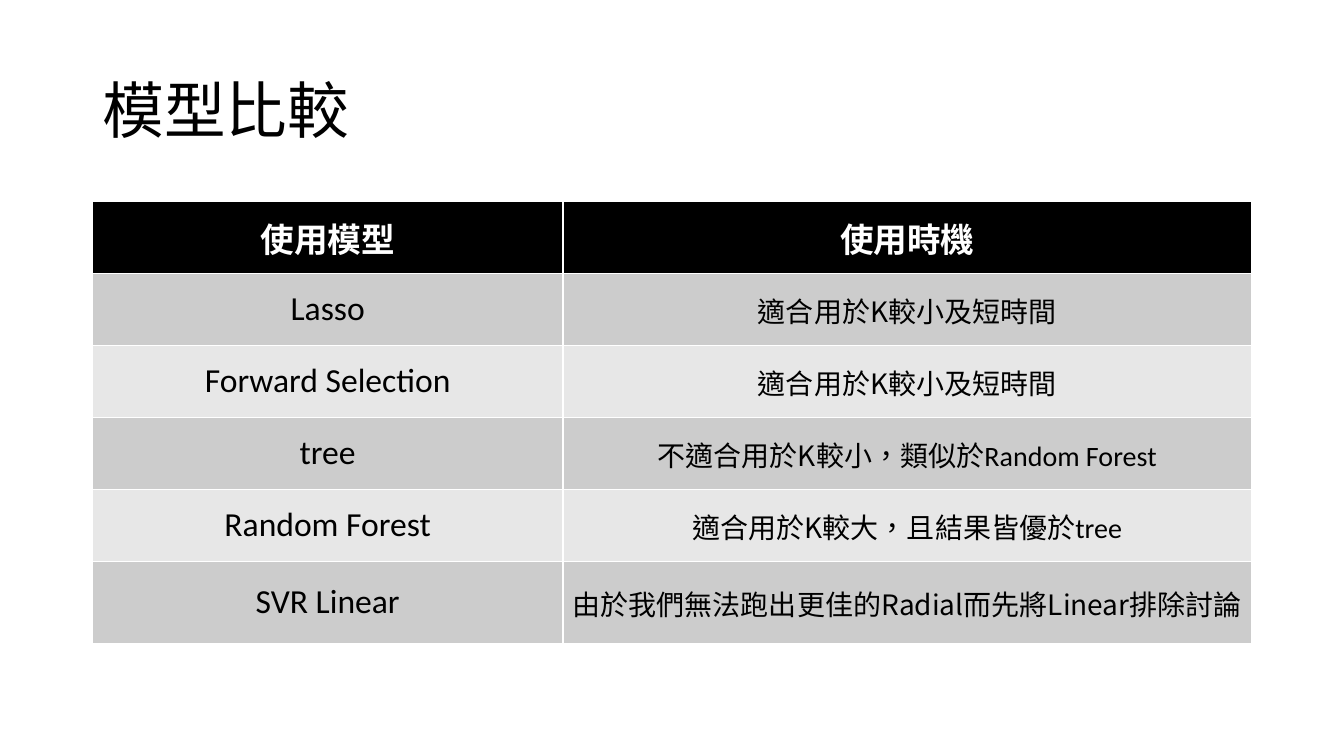
from pptx import Presentation
from pptx.dml.color import RGBColor
from pptx.enum.lang import MSO_LANGUAGE_ID
from pptx.enum.text import MSO_ANCHOR, PP_ALIGN
from pptx.oxml.ns import qn
from pptx.util import Pt
from lxml import etree

CENTER = PP_ALIGN.CENTER
LEFT = PP_ALIGN.LEFT
MIDDLE = MSO_ANCHOR.MIDDLE
CHINESE = MSO_LANGUAGE_ID.TRADITIONAL_CHINESE
BLACK = RGBColor(0x00, 0x00, 0x00)
WHITE = RGBColor(0xFF, 0xFF, 0xFF)
DARK_BAND = RGBColor(0xCC, 0xCC, 0xCC)
LIGHT_BAND = RGBColor(0xE7, 0xE7, 0xE7)
HAN_FONT = "Noto Sans CJK SC"
LATIN_FONT = "Calibri"

HEADINGS = ("使用模型", "使用時機")
MODELS = [
    ("Lasso", ["適合用於K較小及短時間"]),
    ("Forward Selection", ["適合用於K較小及短時間"]),
    ("tree", ["不適合用於K較小，類似於", "Random Forest"]),
    ("Random Forest", ["適合用於K較大，且結果皆優於", "tree"]),
    ("SVR Linear", ["由於我們無法跑出更佳的Radial而先將Linear排除討論"]),
]


class SlideBuilder:
    def __init__(self, page):
        self.page = page

    def add_span(self, para, text, size, color, bold=False):
        span = para.add_run()
        span.text = text
        font = span.font
        font.size = Pt(size)
        font.bold = bold
        font.color.rgb = color
        font.name = LATIN_FONT if text.isascii() else HAN_FONT
        font.language_id = CHINESE
        latin = span._r.rPr.find(qn("a:latin"))
        east_asian = etree.Element(qn("a:ea"), typeface=HAN_FONT)
        latin.addnext(east_asian)

    def add_title(self, text, left, top, width, height):
        title = self.page.shapes.title
        title.left, title.top = Pt(left), Pt(top)
        title.width, title.height = Pt(width), Pt(height)
        title.text_frame.vertical_anchor = MIDDLE
        para = title.text_frame.paragraphs[0]
        para.alignment = LEFT
        para.line_spacing = 0.9
        self.add_span(para, text, 44, BLACK)

    def add_table(self, left, top, widths, row_height, row_count):
        frame = self.page.shapes.add_table(
            row_count, len(widths), Pt(left), Pt(top),
            Pt(sum(widths)), Pt(row_height * row_count))
        table = frame.table
        for column, width in zip(table.columns, widths):
            column.width = Pt(width)
        for row in table.rows:
            row.height = Pt(row_height)
        return table

    def fill_cell(self, cell, texts, size, color, fill, bold=False):
        cell.fill.solid()
        cell.fill.fore_color.rgb = fill
        cell.vertical_anchor = MIDDLE
        para = cell.text_frame.paragraphs[0]
        para.alignment = CENTER
        for text in texts:
            self.add_span(para, text, size, color, bold)

    def trim_margins(self, cell):
        cell.margin_left = cell.margin_top = cell.margin_right = Pt(0.75)
        cell.margin_bottom = Pt(0)


def main():
    deck = Presentation()
    deck.slide_width, deck.slide_height = Pt(960), Pt(540)
    page = deck.slides.add_slide(deck.slide_layouts[5])
    builder = SlideBuilder(page)
    builder.add_title("模型比較", 66, 28.75, 828, 104.38)
    table = builder.add_table(66, 144, (336.2, 491.8), 51.4, len(MODELS) + 1)
    for index, heading in enumerate(HEADINGS):
        builder.fill_cell(table.cell(0, index), [heading], 24, WHITE, BLACK, True)
    for index, (model, usage) in enumerate(MODELS, start=1):
        band = DARK_BAND if index % 2 else LIGHT_BAND
        builder.fill_cell(table.cell(index, 0), [model], 24, BLACK, band)
        usage_cell = table.cell(index, 1)
        builder.fill_cell(usage_cell, usage, 20, BLACK, band)
        builder.trim_margins(usage_cell)
    deck.save("out.pptx")


if __name__ == "__main__":
    main()
